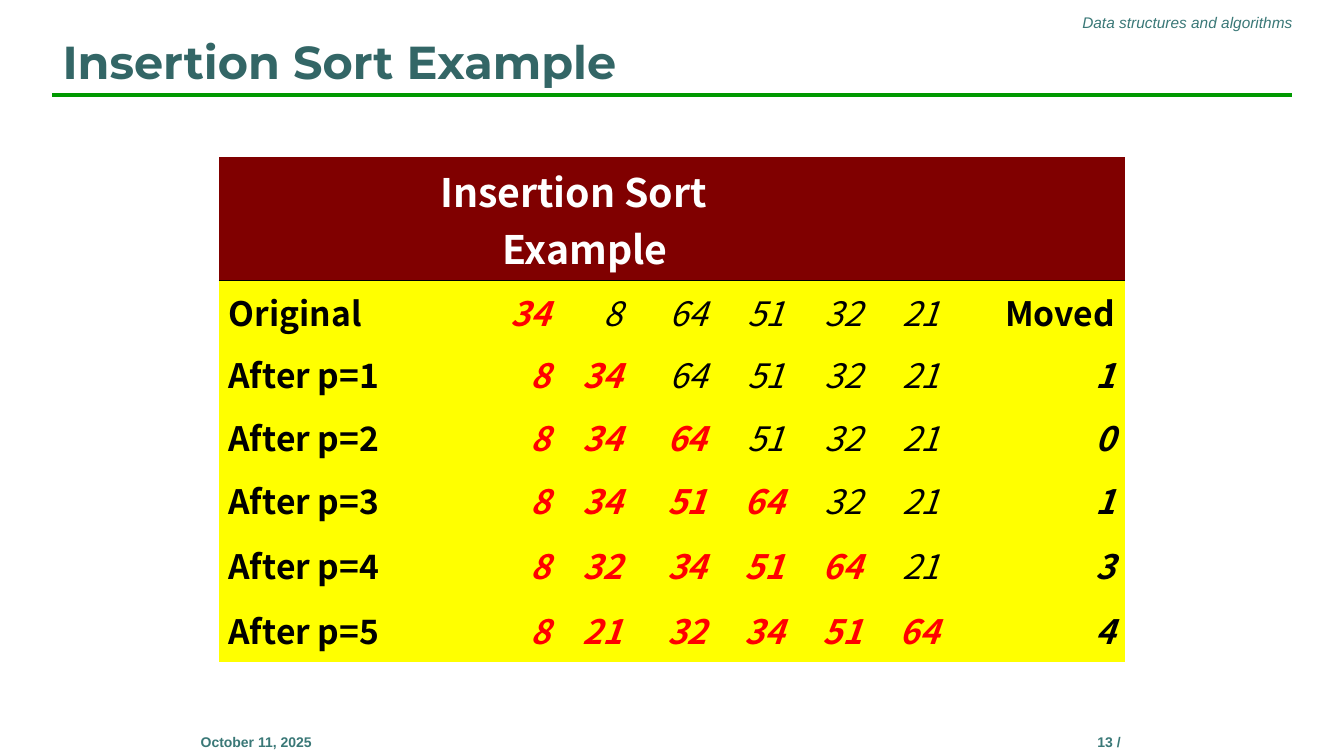
"""Build the insertion sort example slide."""
from lxml.etree import SubElement
from pptx import Presentation
from pptx.dml.color import RGBColor
from pptx.enum.shapes import MSO_CONNECTOR
from pptx.enum.text import MSO_ANCHOR, MSO_AUTO_SIZE, PP_ALIGN
from pptx.oxml import parse_xml
from pptx.oxml.ns import nsdecls, qn
from pptx.util import Inches, Pt

TITLE = "Insertion Sort Example"
TABLE_TITLE = "Insertion Sort Example　"
NUMBERS = [34, 8, 64, 51, 32, 21]
LABELS = [
    ("Data structures and algorithms", (5.63, 0.08, 7.29, 0.29),
     dict(size=11, italic=True, align=PP_ALIGN.RIGHT)),
    ("13 /", (9.5, 7.23, 3, 0.5), dict(size=10, bold=True, align=PP_ALIGN.CENTER)),
    ("October 11, 2025", (1.04, 7.23, 3, 0.5), dict(size=10, bold=True, align=PP_ALIGN.CENTER)),
]
COL_WIDTHS = [2.53, 0.86, 0.71, 0.84, 0.77, 0.77, 0.77, 1.74]
ROW_HEIGHTS = [1.22, 0.62, 0.63, 0.62, 0.63, 0.66, 0.63]
COLORS = {"title": "336666", "label": "3A7877", "rule": "009900", "head": "800000",
          "body": "FFFF00", "sorted": "FF0000", "black": "000000", "white": "FFFFFF"}
TABLE_FONT = "Noto Sans CJK SC"
NO_GRID = "{2D5ABB26-0587-4C30-8999-92F81FD0307C}"


def rgb(name):
    return RGBColor.from_string(COLORS[name])


def write(tf, text, size=24, font="Arial", color="label", bold=False, italic=False,
          align=PP_ALIGN.LEFT):
    """Put one formatted run into a text frame."""
    p = tf.paragraphs[0]
    p.alignment = align
    r = p.add_run()
    r.text = text
    r.font.size, r.font.name = Pt(size), font
    r.font.bold, r.font.italic = bold, italic
    r.font.color.rgb = rgb(color)
    SubElement(r.font._element, qn("a:ea")).set("typeface", font)


def write_cell(cell, text, **fmt):
    cell.vertical_anchor = MSO_ANCHOR.MIDDLE
    write(cell.text_frame, text, font=TABLE_FONT, **fmt)


def add_rule(slide):
    line = slide.shapes.add_connector(MSO_CONNECTOR.STRAIGHT, Inches(0.52), Inches(0.94),
                                      Inches(12.81), Inches(0.94))
    line.line.color.rgb = rgb("rule")
    line.line.width = Pt(3)
    SubElement(line._element.spPr, qn("a:effectLst"))


def add_title(slide):
    sp = slide.shapes.title
    sp.left, sp.top, sp.width, sp.height = map(Inches, (0.52, 0.23, 12.29, 0.7))
    tf = sp.text_frame
    tf.auto_size = MSO_AUTO_SIZE.NONE
    tf.vertical_anchor = MSO_ANCHOR.BOTTOM
    write(tf, TITLE, size=33, font="Montserrat", color="title", bold=True)


def add_sort_table(slide):
    frame = slide.shapes.add_table(len(ROW_HEIGHTS), len(COL_WIDTHS), Inches(2.17),
                                   Inches(1.56), Inches(sum(COL_WIDTHS)),
                                   Inches(sum(ROW_HEIGHTS)))
    table = frame.table
    table._tbl.tblPr.find(qn("a:tableStyleId")).text = NO_GRID
    for col, width in zip(table.columns, COL_WIDTHS):
        col.width = Inches(width)
    for row, height in zip(table.rows, ROW_HEIGHTS):
        row.height = Inches(height)
    for i, row in enumerate(table.rows):
        for cell in row.cells:
            cell.fill.solid()
            cell.fill.fore_color.rgb = rgb("body" if i else "head")
            if i == 0:
                cell._tc.get_or_add_tcPr().insert(0, parse_xml(
                    f'<a:lnB {nsdecls("a")} w="12700"><a:solidFill>'
                    f'<a:srgbClr val="{COLORS["black"]}"/></a:solidFill></a:lnB>'))

    table.cell(0, 0).merge(table.cell(0, 3))
    write_cell(table.cell(0, 0), TABLE_TITLE, size=28, color="white", bold=True,
               align=PP_ALIGN.RIGHT)
    for p, key in enumerate(NUMBERS):
        values = sorted(NUMBERS[:p + 1]) + NUMBERS[p + 1:]
        moved = sum(n > key for n in NUMBERS[:p])
        row = p + 1
        write_cell(table.cell(row, 0), f"After p={p}" if p else "Original",
                   color="black", bold=True)
        for j, n in enumerate(values):
            done = j <= p
            write_cell(table.cell(row, j + 1), str(n), color="sorted" if done else "black",
                       bold=done, italic=True, align=PP_ALIGN.RIGHT)
        write_cell(table.cell(row, len(values) + 1), str(moved) if p else " Moved",
                   color="black", bold=True, italic=p > 0, align=PP_ALIGN.RIGHT)


def main():
    prs = Presentation()
    prs.slide_width, prs.slide_height = Inches(13.33), Inches(7.5)
    slide = prs.slides.add_slide(prs.slide_layouts[5])
    add_rule(slide)
    for text, box, fmt in LABELS:
        tf = slide.shapes.add_textbox(*map(Inches, box)).text_frame
        tf.word_wrap = True
        write(tf, text, **fmt)
    add_title(slide)
    add_sort_table(slide)
    prs.save("out.pptx")


if __name__ == "__main__":
    main()
